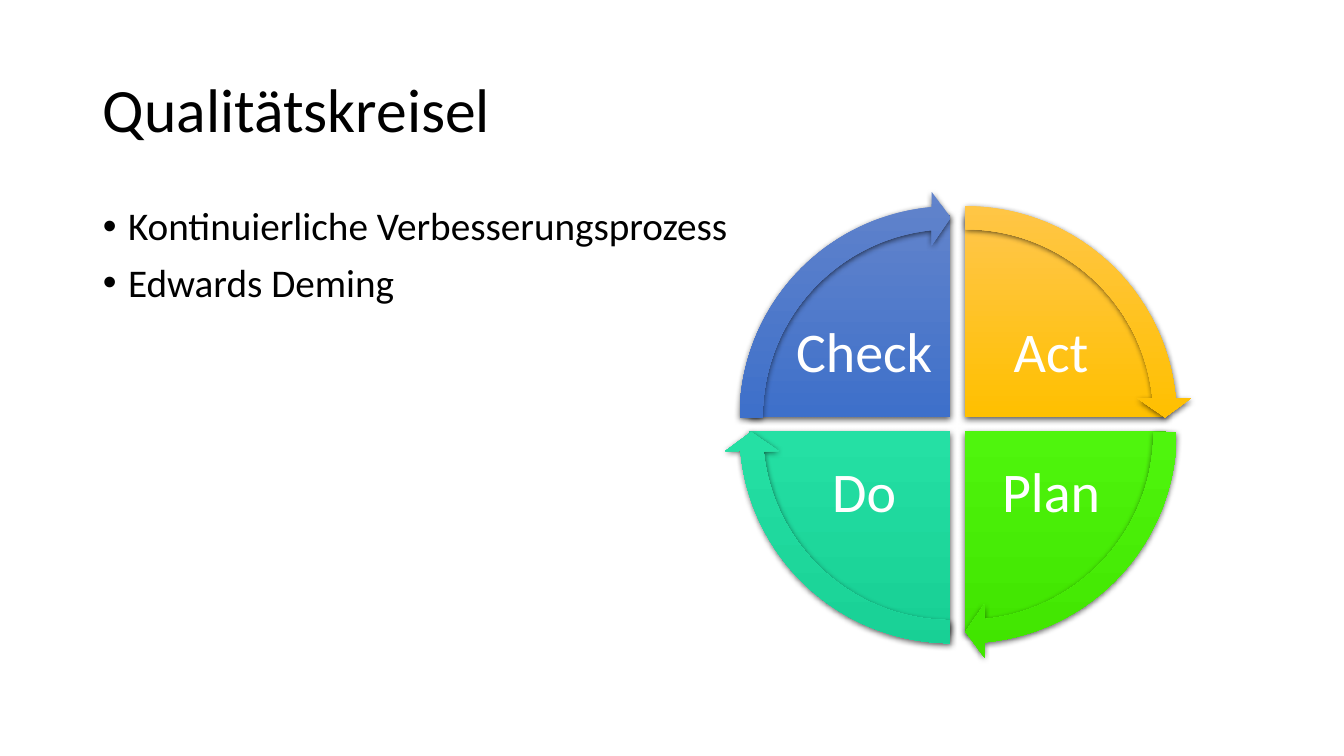
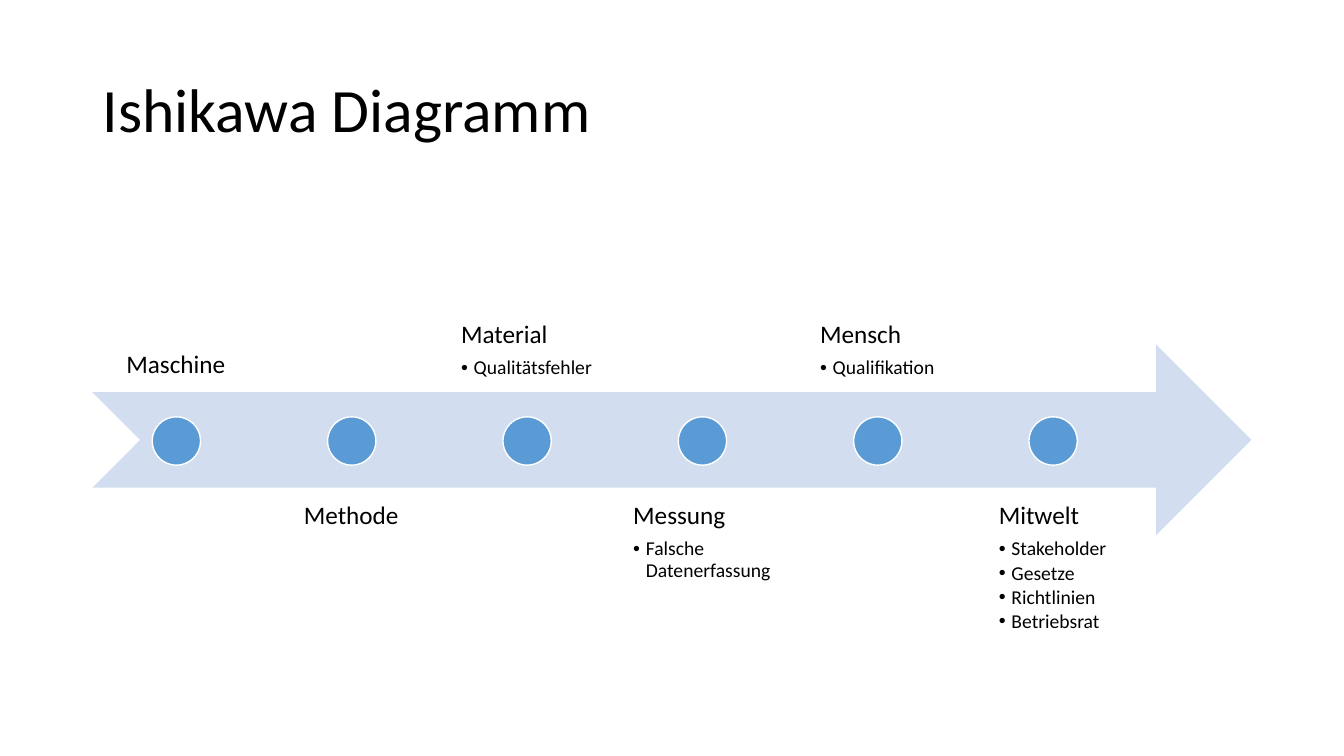
from copy import deepcopy

from lxml import etree
from pptx import Presentation
from pptx.dml.color import RGBColor
from pptx.enum.shapes import MSO_SHAPE
from pptx.enum.text import MSO_ANCHOR, PP_ALIGN
from pptx.oxml.ns import qn
from pptx.util import Pt

PIE, ARC, DOT, BAND = (MSO_SHAPE.PIE, MSO_SHAPE.CIRCULAR_ARROW,
                       MSO_SHAPE.OVAL, MSO_SHAPE.NOTCHED_RIGHT_ARROW)
TOP, MIDDLE, BOTTOM = MSO_ANCHOR.TOP, MSO_ANCHOR.MIDDLE, MSO_ANCHOR.BOTTOM
LEFT, CENTER = PP_ALIGN.LEFT, PP_ALIGN.CENTER

PX = 9525  # EMU per px, 96 px to the inch
FONT = "Calibri"
C = {"text": "000000", "white": "FFFFFF", "band": "D2DEEF", "dot": "5B9BD5"}
GRADIENTS = {
    "Act": ("FFC64B", "FFC000", "E3AB00"),
    "Plan": ("6BEF4D", "4FF50D", "41E500"),
    "Do": ("55DDAB", "25E0A4", "18D095"),
    "Check": ("6183CB", "3E70CA", "3062BB"),
}

# Paragraph formats: size, colour, alignment, spacing in points, indent in px
TITLE = {"size": 44}
BODY = {"size": 28, "before": 10, "indent": 24}
QUADRANT = {"size": 40, "color": "white", "align": CENTER}
HEAD = {"size": 18, "after": 6.3}
HEAD_CENTERED = {**HEAD, "align": CENTER}
ITEM = {"size": 14, "after": 2.1, "indent": 12}


def add_text(s, box, paras, anchor=TOP, inset=(10, 5), center_block=False):
    """Add a text box; paras is a list of (text, format) pairs."""
    tf = s.shapes.add_textbox(*(v * PX for v in box)).text_frame
    margins = dict(zip(("left", "right", "top", "bottom"),
                       (inset[0], inset[0], inset[1], inset[1])))
    for side, value in margins.items():
        setattr(tf, f"margin_{side}", value * PX)
    tf.word_wrap = True
    tf.vertical_anchor = anchor
    if center_block:
        tf._txBody.bodyPr.set("anchorCtr", "1")
    for i, (text, fmt) in enumerate(paras):
        p = tf.add_paragraph() if i else tf.paragraphs[0]
        indent = fmt.get("indent", 0) * PX
        if indent:
            pPr = p._p.get_or_add_pPr()
            pPr.set("marL", str(indent))
            pPr.set("indent", str(-indent))
            etree.SubElement(pPr, qn("a:buFont")).set("typeface", "Arial")
            etree.SubElement(pPr, qn("a:buChar")).set("char", "•")
        spacing = {"alignment": fmt.get("align", LEFT), "line_spacing": 0.9,
                   "space_before": Pt(fmt.get("before", 0) if i else 0),
                   "space_after": Pt(fmt.get("after", 0))}
        for name, value in spacing.items():
            setattr(p, name, value)
        r = p.add_run()
        r.text = text
        r.font.name, r.font.size = FONT, Pt(fmt["size"])
        r.font.color.rgb = RGBColor.from_string(C[fmt.get("color", "text")])


def add_shape(s, kind, box, fill, adjustments=(), line=None):
    """Add a shape; a tuple as fill makes a shadowed vertical gradient."""
    sp = s.shapes.add_shape(kind, *(v * PX for v in box))
    for i, value in enumerate(adjustments):
        sp.adjustments[i] = value
    if line:
        sp.line.color.rgb = RGBColor.from_string(line)
        sp.line.width = Pt(1)
    else:
        sp.line.fill.background()
    sp.shadow.inherit = False
    if isinstance(fill, str):
        sp.fill.solid()
        sp.fill.fore_color.rgb = RGBColor.from_string(fill)
        return
    sp.fill.gradient()
    sp.fill.gradient_angle = 270
    spPr = sp._element.spPr
    stops = spPr.find(".//" + qn("a:gsLst"))
    stops.append(deepcopy(stops[0]))
    for stop, position, color in zip(sp.fill.gradient_stops, (0, 0.5, 1), fill):
        stop.position = position
        stop.color.rgb = RGBColor.from_string(color)
    shadow = etree.SubElement(spPr.find(qn("a:effectLst")), qn("a:outerShdw"),
                              blurRad=str(Pt(4.5)), dist=str(Pt(1.5)),
                              dir="5400000", algn="ctr", rotWithShape="0")
    color = etree.SubElement(shadow, qn("a:srgbClr"), val=C["text"])
    etree.SubElement(color, qn("a:alpha"), val="63000")


prs = Presentation()
prs.slide_width, prs.slide_height = 1280 * PX, 720 * PX

# Slides with their titles
slides = []
for title in ("Qualitätskreisel", "Ishikawa Diagramm"):
    s = prs.slides.add_slide(prs.slide_layouts[6])
    add_text(s, (88, 38, 1104, 139), [(title, TITLE)], MIDDLE)
    slides.append(s)
cycle, ishikawa = slides

# Quality cycle: bullets
add_text(cycle, (88, 192, 1104, 457),
         [("Kontinuierliche Verbesserungsprozess", BODY), ("Edwards Deming", BODY)])

# Quality cycle: quadrants clockwise from the top, angles in 100000ths
QUARTER, FULL, HEAD_ANGLE = 54, 216, 3.275
PIE_SIZE, ARC_SIZE = 384, 431
quadrants = [  # name, start angle, centre x, centre y, label x, label y
    ("Act", 162, 919, 397, 930, 285),
    ("Plan", 0, 919, 411, 930, 418),
    ("Do", 54, 905, 411, 752, 418),
    ("Check", 108, 905, 397, 752, 285),
]
for name, start, cx, cy, x, y in quadrants:
    box = (cx - PIE_SIZE // 2, cy - PIE_SIZE // 2, PIE_SIZE, PIE_SIZE)
    add_shape(cycle, PIE, box, GRADIENTS[name], (start, (start + QUARTER) % FULL))
    add_text(cycle, (x, y, 142, 105), [(name, QUADRANT)], MIDDLE, (5, 5))

# Quality cycle: arrows around the quadrants
for name, start, cx, cy, x, y in quadrants:
    box = (cx - ARC_SIZE // 2, cy - ARC_SIZE // 2, ARC_SIZE, ARC_SIZE)
    add_shape(cycle, ARC, box, GRADIENTS[name],
              (0.051, HEAD_ANGLE, start + QUARTER - HEAD_ANGLE, start, 0.059))

# Ishikawa: band, causes alternating above and below it
add_shape(ishikawa, BAND, (88, 328, 1104, 182), C["band"])
causes = [
    ("Maschine", []),
    ("Methode", []),
    ("Material", ["Qualitätsfehler"]),
    ("Messung", ["Falsche Datenerfassung"]),
    ("Mensch", ["Qualifikation"]),
    ("Mitwelt", ["Stakeholder", "Gesetze", "Richtlinien", "Betriebsrat"]),
]
for i, (name, items) in enumerate(causes):
    x = 88 + 167 * i
    y, anchor = (466, TOP) if i % 2 else (192, BOTTOM)
    paras = [(name, HEAD if items else HEAD_CENTERED)]
    paras += [(item, ITEM) for item in items]
    add_text(ishikawa, (x, y, 159, 182), paras, anchor, (13, 13), True)
    add_shape(ishikawa, DOT, (x + 57, 397, 46, 46), C["dot"], line=C["white"])

prs.save("out.pptx")
